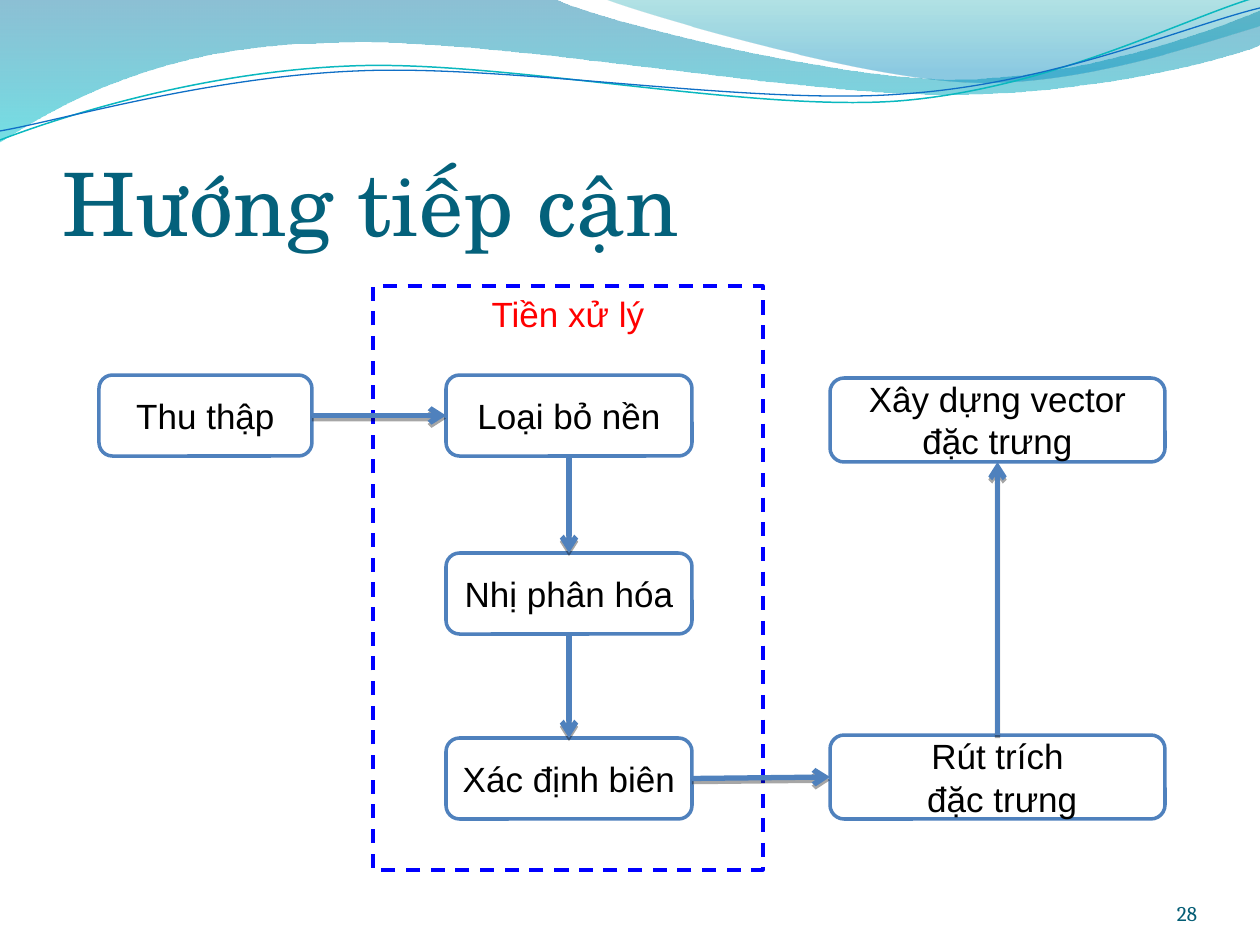
from dataclasses import dataclass

from lxml import etree
from pptx import Presentation
from pptx import util as u
from pptx.dml.color import RGBColor
from pptx.enum import dml, shapes, text
from pptx.oxml.ns import qn

SLIDE_W, SLIDE_H = 1260, 945
EMU_PER_PX = 914400 / 126


@dataclass(frozen=True)
class Theme:
    title: str = "04617B"
    number: str = "045D75"
    ink: str = "000000"
    label: str = "FF0000"
    frame: str = "0000FF"
    step: str = "4F81BD"
    paper: str = "FFFFFF"
    title_font: str = "TeX Gyre Schola"
    number_font: str = "Cambria"
    body_font: str = "Arial"
    title_size: int = 50
    body_size: int = 20
    number_size: int = 12


THEME = Theme()

# Each wave: segments of one point (start or line) or three (Bezier).
BANDS = [
    ([[(0, 0)], [(554, -1)],
      [(600, 21), (837, 79), (955, 79)], [(1075, 79), (1207, 33), (1260, 11)],
      [(1261, 45)],
      [(1239, 55), (1096, 96), (940, 94)], [(784, 94), (481, 35), (324, 43)],
      [(163, 45), (58, 105), (-1, 142)]],
     [(0, "0074A1", 45), (1, "00C6CF", 55)]),
    ([[(604, -1)],
      [(641, 14), (859, 78), (969, 82)], [(1079, 87), (1211, 40), (1260, 26)],
      [(1260, 0)]],
     [(0, "00A1A9", 30), (0.8, "008BBF", 45)]),
]
STRANDS = [
    ([[(0, 140)], [(60, 117), (199, 72), (349, 66)],
      [(498, 59), (747, 112), (898, 101)], [(1050, 89), (1182, 19), (1257, -3)]],
     "0AB8BF", 0.85),
    ([[(0, 131)], [(59, 121), (207, 77), (357, 71)],
      [(508, 64), (752, 106), (903, 94)], [(1053, 84), (1186, 26), (1260, 8)]],
     "0F6FC6", 0.75),
]


def px(n):
    return u.Emu(round(n * EMU_PER_PX))


def rgb(value):
    return RGBColor.from_string(value)


def add_outline(slide, box, outline, close):
    """Draw all points as a freeform, then turn each triple into a Bezier."""
    left, top = box[:2]
    points = [(px(left + x), px(top + y)) for segment in outline for x, y in segment]
    builder = slide.shapes.build_freeform(*points[0])
    builder.add_line_segments(points[1:], close=close)
    sp = builder.convert_to_shape()
    sp.shadow.inherit = False
    nodes = iter(list(sp._element.iter(qn("a:moveTo"), qn("a:lnTo"))))
    for segment in outline:
        parts = [next(nodes) for _ in segment]
        if len(parts) == 3:
            curve = etree.Element(qn("a:cubicBezTo"))
            parts[0].addprevious(curve)
            for part in parts:
                curve.append(part[0])
                part.getparent().remove(part)
    return sp


def add_waves(slide, box):
    for outline, stops in BANDS:
        sp = add_outline(slide, box, outline, True)
        sp.line.fill.background()
        sp.fill.gradient()
        sp.fill.gradient_angle = 270
        for stop, (position, color, _) in zip(sp.fill.gradient_stops, stops):
            stop.position = position
            stop.color.rgb = rgb(color)
        colors = sp._element.spPr.iter(qn("a:srgbClr"))
        for node, (_, _, opacity) in zip(colors, stops):
            etree.SubElement(node, qn("a:alpha"), val=str(opacity * 1000))
    for outline, color, width in STRANDS:
        sp = add_outline(slide, box, outline, False)
        sp.fill.background()
        sp.line.color.rgb = rgb(color)
        sp.line.width = u.Pt(width)


def write(sp, words, font, size, color, align, anchor):
    tf = sp.text_frame
    tf.word_wrap = True
    tf.vertical_anchor = anchor
    tf.text = words
    for p in tf.paragraphs:
        p.alignment = align
        for r in p.runs:
            r.font.name = font
            r.font.size = u.Pt(size)
            r.font.color.rgb = rgb(color)


def add_text(slide, box, words, font, size, color, align):
    sp = slide.shapes.add_textbox(*map(px, box))
    tf = sp.text_frame
    tf.margin_left = tf.margin_right = tf.margin_top = tf.margin_bottom = 0
    write(sp, words, font, size, color, align, text.MSO_ANCHOR.BOTTOM)


def add_box(slide, kind, box, words, line, ink, anchor):
    sp = slide.shapes.add_shape(kind, *map(px, box))
    sp.shadow.inherit = False
    sp.fill.solid()
    sp.fill.fore_color.rgb = rgb(THEME.paper)
    sp.line.color.rgb = rgb(line)
    sp.line.width = u.Pt(2)
    write(sp, words, THEME.body_font, THEME.body_size, ink,
          text.PP_ALIGN.CENTER, anchor)
    return sp


def add_arrow(slide, start, start_site, end, end_site):
    """Join two steps by their connection sites, with an arrowhead and a shadow."""
    arrow = slide.shapes.add_connector(shapes.MSO_CONNECTOR.STRAIGHT, 0, 0, 0, 0)
    arrow.begin_connect(start, start_site)
    arrow.end_connect(end, end_site)
    arrow.line.color.rgb = rgb(THEME.step)
    arrow.line.width = u.Pt(3)
    etree.SubElement(arrow.line._get_or_add_ln(), qn("a:tailEnd"), type="arrow")
    effects = etree.SubElement(arrow._element.spPr, qn("a:effectLst"))
    shadow = etree.SubElement(effects, qn("a:outerShdw"), blurRad="0",
                              dist=str(u.Pt(1.8)), dir="5400000", rotWithShape="0")
    black = etree.SubElement(shadow, qn("a:srgbClr"), val="000000")
    etree.SubElement(black, qn("a:alpha"), val="35000")


def add_flow(slide, box):
    left, top, _, height = box
    frame = add_box(slide, shapes.MSO_SHAPE.RECTANGLE, (left + 274, top, 390, height),
                    "Tiền xử lý", THEME.frame, THEME.label, text.MSO_ANCHOR.TOP)
    frame.line.dash_style = dml.MSO_LINE.DASH

    def step(x, y, w, h, words):
        return add_box(slide, shapes.MSO_SHAPE.ROUNDED_RECTANGLE,
                       (left + x, top + y, w, h), words,
                       THEME.step, THEME.ink, text.MSO_ANCHOR.MIDDLE)

    collect = step(0, 89, 213, 81, "Thu thập")
    background, binary, edges = [
        step(347, y, 246, 81, words)
        for y, words in ((89, "Loại bỏ nền"), (267, "Nhị phân hóa"),
                         (452, "Xác định biên"))]
    vector, extract = [
        step(731, y, 335, 84, words)
        for y, words in ((92, "Xây dựng vector đặc trưng"),
                         (449, "Rút trích\n đặc trưng"))]

    up, west, down, east = range(4)
    for link in ((collect, east, background, west), (background, down, binary, up),
                 (binary, down, edges, up), (edges, east, extract, west),
                 (extract, up, vector, down)):
        add_arrow(slide, *link)


def main():
    prs = Presentation()
    prs.slide_width, prs.slide_height = px(SLIDE_W), px(SLIDE_H)
    slide = prs.slides.add_slide(prs.slide_layouts[6])
    add_waves(slide, (0, 0, SLIDE_W, 142))
    add_text(slide, (63, 96, 1134, 158), "Hướng tiếp cận", THEME.title_font,
             THEME.title_size, THEME.title, text.PP_ALIGN.LEFT)
    add_text(slide, (1092, 876, 105, 50), "28", THEME.number_font,
             THEME.number_size, THEME.number, text.PP_ALIGN.RIGHT)
    add_flow(slide, (99, 286, 1066, 584))
    prs.save("out.pptx")


if __name__ == "__main__":
    main()
